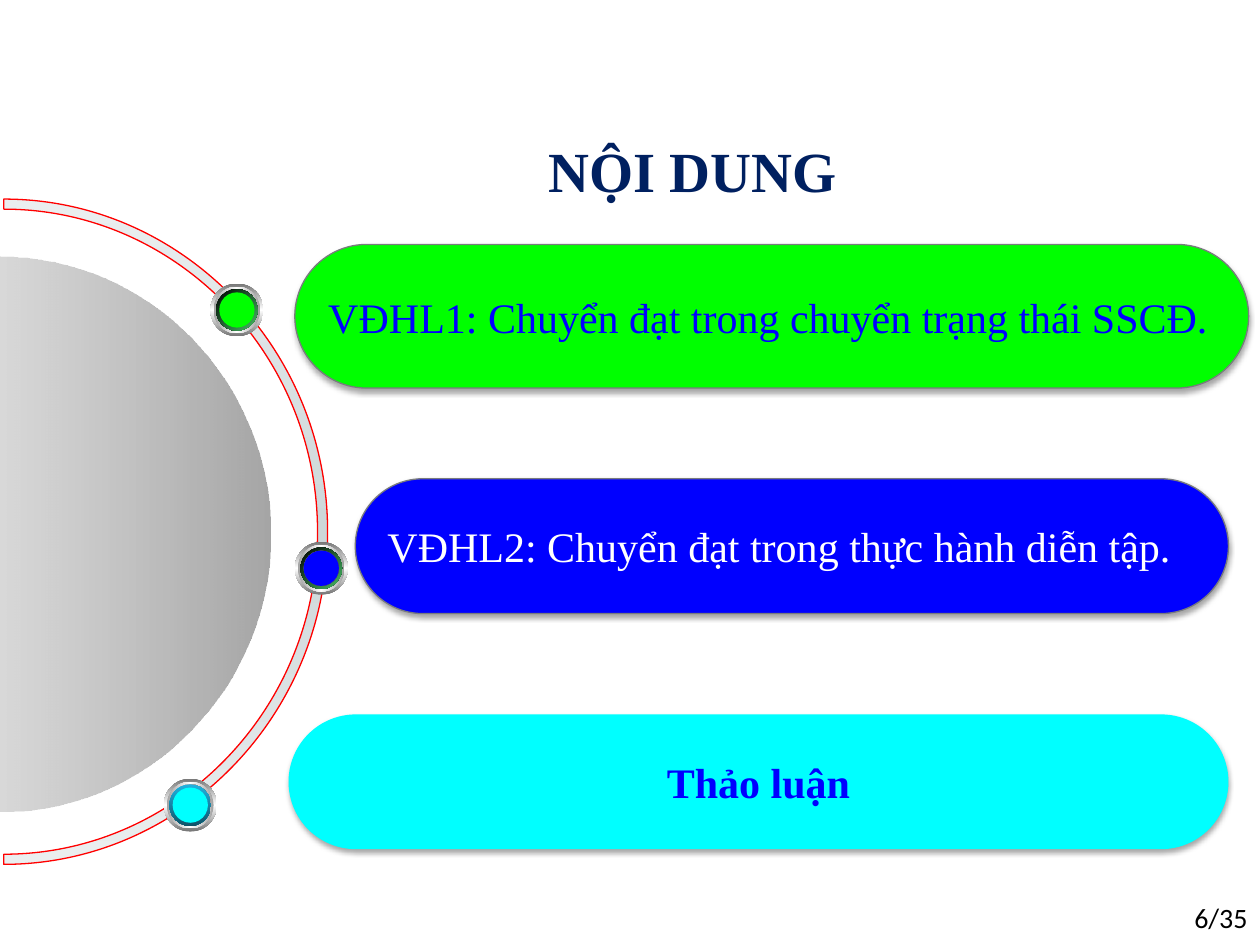
from lxml import etree
from pptx import Presentation
from pptx import util as u
from pptx.dml.color import RGBColor
from pptx.enum import shapes, text
from pptx.oxml import ns

NAVY = RGBColor(0x00, 0x20, 0x60)
BLUE = RGBColor(0x00, 0x00, 0xFF)
GREEN = RGBColor(0x00, 0xFF, 0x00)
CYAN = RGBColor(0x00, 0xFF, 0xFF)
WHITE = RGBColor(0xFF, 0xFF, 0xFF)
BLACK = RGBColor(0x00, 0x00, 0x00)
RED = RGBColor(0xFF, 0x00, 0x00)
GREY = RGBColor(0x79, 0x7B, 0x7E)
STEEL = RGBColor(0x76, 0x76, 0x76)
SILVER = RGBColor(0xA2, 0xA2, 0xA2)
SMOKE = RGBColor(0x5F, 0x5F, 0x5F)
COAL = RGBColor(0x49, 0x49, 0x49)
MIST = RGBColor(0xEA, 0xEE, 0xEF)
HAZE = RGBColor(0xCD, 0xD7, 0xD9)
LEAF = RGBColor(0x48, 0xBE, 0x67)
SKY = RGBColor(0x21, 0xB3, 0xE1)
TEAL = RGBColor(0x0F, 0x53, 0x68)


def paint(part, colours, angle=0, outline=None, alphas=()):
    part.shadow.inherit = False
    if len(colours) == 1:
        part.fill.solid()
        part.fill.fore_color.rgb = colours[0]
    else:
        part.fill.gradient()
        part.fill.gradient_angle = -angle % 360
        stops = part._element.spPr.find(ns.qn("a:gradFill")).find(ns.qn("a:gsLst"))
        for stop in list(stops):
            stops.remove(stop)
        for i, colour in enumerate(colours):
            position = str(100000 * i // (len(colours) - 1))
            stop = etree.SubElement(stops, ns.qn("a:gs"), pos=position)
            tint = etree.SubElement(stop, ns.qn("a:srgbClr"), val=str(colour))
            if alphas:
                etree.SubElement(tint, ns.qn("a:alpha"), val=str(alphas[i] * 1000))
    if outline is None:
        part.line.fill.background()
    else:
        part.line.color.rgb = outline
        part.line.width = u.Pt(0.75)


def write(frame, wording, alignment, colour, values):
    paragraph = frame.paragraphs[0]
    paragraph.alignment = alignment
    run = paragraph.add_run()
    run.text = wording
    run.font.color.rgb = colour
    for name, value in values.items():
        setattr(run.font, name, value)


prs = Presentation()
prs.slide_width, prs.slide_height = u.Inches(10), u.Inches(7.5)
slide = prs.slides.add_slide(prs.slide_layouts[5])

heading = slide.shapes.title
heading.left, heading.top = u.Inches(3.91), u.Inches(1.03)
heading.width, heading.height = u.Inches(3.17), u.Inches(0.64)
heading.text_frame.vertical_anchor = text.MSO_ANCHOR.MIDDLE
write(heading.text_frame, "NỘI DUNG", text.PP_ALIGN.CENTER, NAVY,
      {"name": "Times New Roman", "size": u.Pt(32.4), "bold": True})

ARCH = [(-1, 0), (-1, -0.55), (-0.55, -1), (0, -1), (0.55, -1), (1, -0.55), (1, 0)]
outer_edge = [(-0.01 + 2.64 * x, 4.18 + 2.57 * y) for x, y in ARCH]
inner_edge = [(-0.01 + 2.56 * x, 4.18 + 2.49 * y) for x, y in ARCH]
disc_edge = [(2.2 * x, 4.24 + 2.15 * y) for x, y in ARCH]
for edge, curve_starts, height, colours, angle, outline, alphas in [
    (outer_edge + inner_edge[::-1], (0, 3, 7, 10), 5.22, [MIST, HAZE, MIST], 0, RED, ()),
    (disc_edge, (0, 3), 4.3, [SMOKE, WHITE], 90, None, (56, 48)),
]:
    points = [(u.Inches(x), u.Inches(y)) for x, y in edge]
    builder = slide.shapes.build_freeform(*points[0])
    builder.add_line_segments(points[1:], close=True)
    dial = builder.convert_to_shape()
    track = next(dial._element.iter(ns.qn("a:path")))
    segments = track.findall(ns.qn("a:lnTo"))
    for start in curve_starts:
        curve = etree.Element(ns.qn("a:cubicBezTo"))
        segments[start].addprevious(curve)
        for segment in segments[start:start + 3]:
            curve.append(segment[0])
            track.remove(segment)
    dial.height = u.Inches(height)
    track.set("h", str(u.Inches(height)))
    dial.rotation = 90
    paint(dial, colours, angle, outline, alphas)

LEFT, CENTER = text.PP_ALIGN.LEFT, text.PP_ALIGN.CENTER
topics = [
    ("VĐHL2: Chuyển đạt trong thực hành diễn tập.",
     (2.82, 3.8, 6.93, 1.07), BLUE, GREY, WHITE, LEFT, False),
    ("VĐHL1: Chuyển đạt trong chuyển trạng thái SSCĐ.",
     (2.34, 1.94, 7.57, 1.14), GREEN, GREY, BLUE, LEFT, False),
    ("Thảo luận", (2.29, 5.67, 7.46, 1.07), CYAN, None, BLUE, CENTER, True),
]
for wording, box, colour, outline, ink, alignment, bold in topics:
    topic = slide.shapes.add_shape(
        shapes.MSO_SHAPE.ROUNDED_RECTANGLE, *map(u.Inches, box))
    topic.adjustments[0] = 0.5
    paint(topic, [colour], outline=outline)
    effects = topic._element.spPr.find(ns.qn("a:effectLst"))
    shade = etree.SubElement(
        effects, ns.qn("a:outerShdw"), blurRad=str(u.Pt(3.1)), dist=str(u.Pt(1.8)),
        dir="5400000", rotWithShape="0")
    shade_colour = etree.SubElement(shade, ns.qn("a:srgbClr"), val=str(BLACK))
    etree.SubElement(shade_colour, ns.qn("a:alpha"), val="35000")
    topic.text_frame.word_wrap = False
    topic.text_frame.vertical_anchor = text.MSO_ANCHOR.MIDDLE
    write(topic.text_frame, wording, alignment, ink,
          {"name": "Times New Roman", "size": u.Pt(24), "bold": bold})

for left, top, rim, rim_angle, cores in [
    (1.67, 2.25, [BLACK, LEAF], 45, [[GREEN]]),
    (1.3, 6.18, [SKY, TEAL], 90, [[CYAN]]),
    (2.34, 4.3, [BLACK, LEAF], 45, [[COAL, SMOKE, COAL], [BLUE]]),
]:
    bead = slide.shapes.add_group_shape()
    for size, colours, angle in [
        (0.42, [STEEL, WHITE, STEEL], 90),
        (0.37, [SILVER, WHITE, SILVER], 0),
        (0.33, [WHITE, SMOKE, WHITE], 45),
        (0.33, rim, rim_angle),
        *[(0.28, core, 315) for core in cores],
    ]:
        inset = (0.42 - size) / 2
        layer = bead.shapes.add_shape(
            shapes.MSO_SHAPE.OVAL, u.Inches(left + inset), u.Inches(top + inset),
            u.Inches(size), u.Inches(size))
        paint(layer, colours, angle)

page = slide.shapes.add_textbox(
    u.Inches(9.06), u.Inches(7.1), u.Inches(0.94), u.Inches(0.4))
page.text_frame.word_wrap = True
write(page.text_frame, "6/35", text.PP_ALIGN.RIGHT, BLACK,
      {"name": "Calibri", "size": u.Pt(16)})

prs.save("out.pptx")
